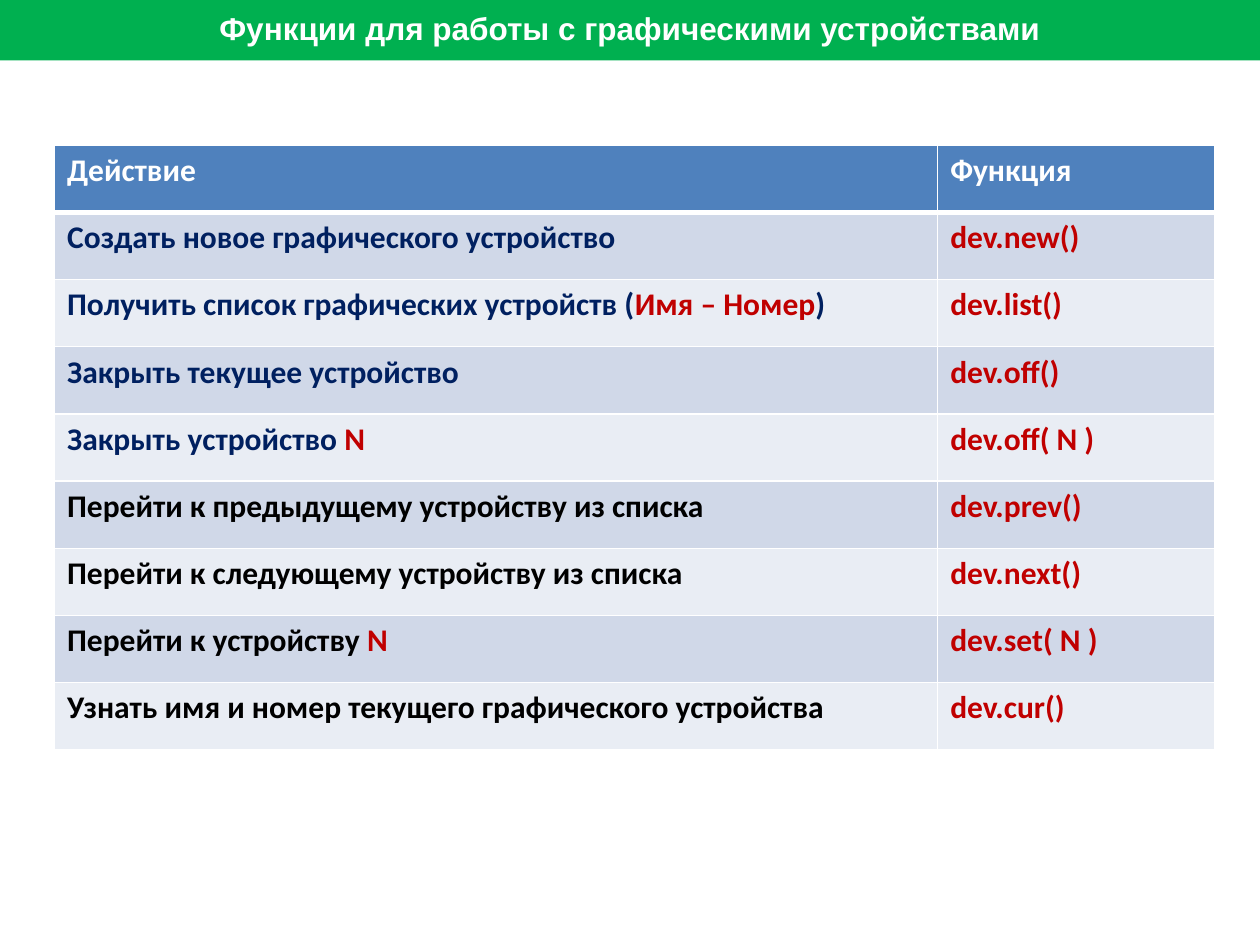
import pptx
import pptx.dml.color
import pptx.enum.shapes
import pptx.enum.text
import pptx.oxml
import pptx.oxml.ns
import pptx.util

Pt = pptx.util.Pt
RGBColor = pptx.dml.color.RGBColor

WHITE = RGBColor(0xFF, 0xFF, 0xFF)
BLACK = RGBColor(0x00, 0x00, 0x00)
GREEN = RGBColor(0x00, 0xB0, 0x50)
BLUE = RGBColor(0x4F, 0x81, 0xBD)
NAVY = RGBColor(0x00, 0x20, 0x60)
RED = RGBColor(0xC0, 0x00, 0x00)
BANDS = (RGBColor(0xD0, 0xD8, 0xE8), RGBColor(0xE9, 0xED, 0xF4))

HEADINGS = ("Действие", "Функция")
# Each action is a list of (text, colour) runs, paired with its function.
ACTIONS = [
    ([("Создать новое графического устройство", NAVY)], "dev.new()"),
    ([("Получить список графических устройств (", NAVY),
      ("Имя – Номер", RED), (")", NAVY)], "dev.list()"),
    ([("Закрыть текущее устройство", NAVY)], "dev.off()"),
    ([("Закрыть устройство ", NAVY), ("N", RED)], "dev.off( N )"),
    ([("Перейти к предыдущему устройству из списка", BLACK)], "dev.prev()"),
    ([("Перейти к следующему устройству из списка", BLACK)], "dev.next()"),
    ([("Перейти к устройству ", BLACK), ("N", RED)], "dev.set( N )"),
    ([("Узнать имя и номер текущего графического устройства", BLACK)], "dev.cur()"),
]


class SlideBuilder:
    text_format = {"size": Pt(18), "bold": True}
    banner_font = "Arial"
    table_font = "Calibri"
    border_width = Pt(1)
    header_rule_width = Pt(3)

    def __init__(self, slide):
        self.slide = slide

    def add_runs(self, paragraph, runs, font_name):
        for text, color in runs:
            run = paragraph.add_run()
            run.text = text
            for name, value in {**self.text_format, "name": font_name}.items():
                setattr(run.font, name, value)
            run.font.color.rgb = color

    def banner(self, text, left, top, width, height):
        banner = self.slide.shapes.add_shape(
            pptx.enum.shapes.MSO_SHAPE.RECTANGLE, left, top, width, height)
        banner.shadow.inherit = False
        banner.fill.solid()
        banner.fill.fore_color.rgb = GREEN
        banner.line.fill.background()
        frame = banner.text_frame
        frame.word_wrap = True
        frame.vertical_anchor = pptx.enum.text.MSO_ANCHOR.MIDDLE
        paragraph = frame.paragraphs[0]
        paragraph.alignment = pptx.enum.text.PP_ALIGN.CENTER
        self.add_runs(paragraph, [(text, WHITE)], self.banner_font)

    def borders(self, cell, widths):
        """Draw white borders; widths maps each side (L, R, T, B) to a width."""
        properties = cell._tc.get_or_add_tcPr()
        for side, width in widths.items():
            properties.append(pptx.oxml.parse_xml(
                f'<a:ln{side} {pptx.oxml.ns.nsdecls("a")} w="{width}">'
                f'<a:solidFill><a:srgbClr val="{WHITE}"/></a:solidFill></a:ln{side}>'))

    def table(self, rows, left, top, column_widths, row_height):
        """Add a table whose first row is the header; cells are lists of runs."""
        table = self.slide.shapes.add_table(
            len(rows), len(column_widths), left, top,
            sum(column_widths), row_height * len(rows)).table
        for column, width in zip(table.columns, column_widths):
            column.width = width
        for row_index, cells in enumerate(rows):
            table.rows[row_index].height = row_height
            fill_color = BANDS[(row_index - 1) % 2] if row_index else BLUE
            widths = dict.fromkeys("LRTB", self.border_width)
            if row_index == 0:
                widths["B"] = self.header_rule_width
            elif row_index == 1:
                widths["T"] = self.header_rule_width
            for column_index, runs in enumerate(cells):
                cell = table.cell(row_index, column_index)
                self.borders(cell, widths)
                cell.fill.solid()
                cell.fill.fore_color.rgb = fill_color
                self.add_runs(cell.text_frame.paragraphs[0], runs, self.table_font)


def main():
    presentation = pptx.Presentation()
    presentation.slide_width = Pt(720)
    presentation.slide_height = Pt(540)
    builder = SlideBuilder(
        presentation.slides.add_slide(presentation.slide_layouts[6]))

    builder.banner("Функции для работы с графическими устройствами",
                   Pt(0), Pt(-2), Pt(720), Pt(36.5))
    header = [[(heading, WHITE)] for heading in HEADINGS]
    body = [[action, [(function, RED)]] for action, function in ACTIONS]
    builder.table([header] + body, Pt(31.2), Pt(83),
                  (Pt(504.6), Pt(158.5)), Pt(38.4))
    presentation.save("out.pptx")


if __name__ == "__main__":
    main()
